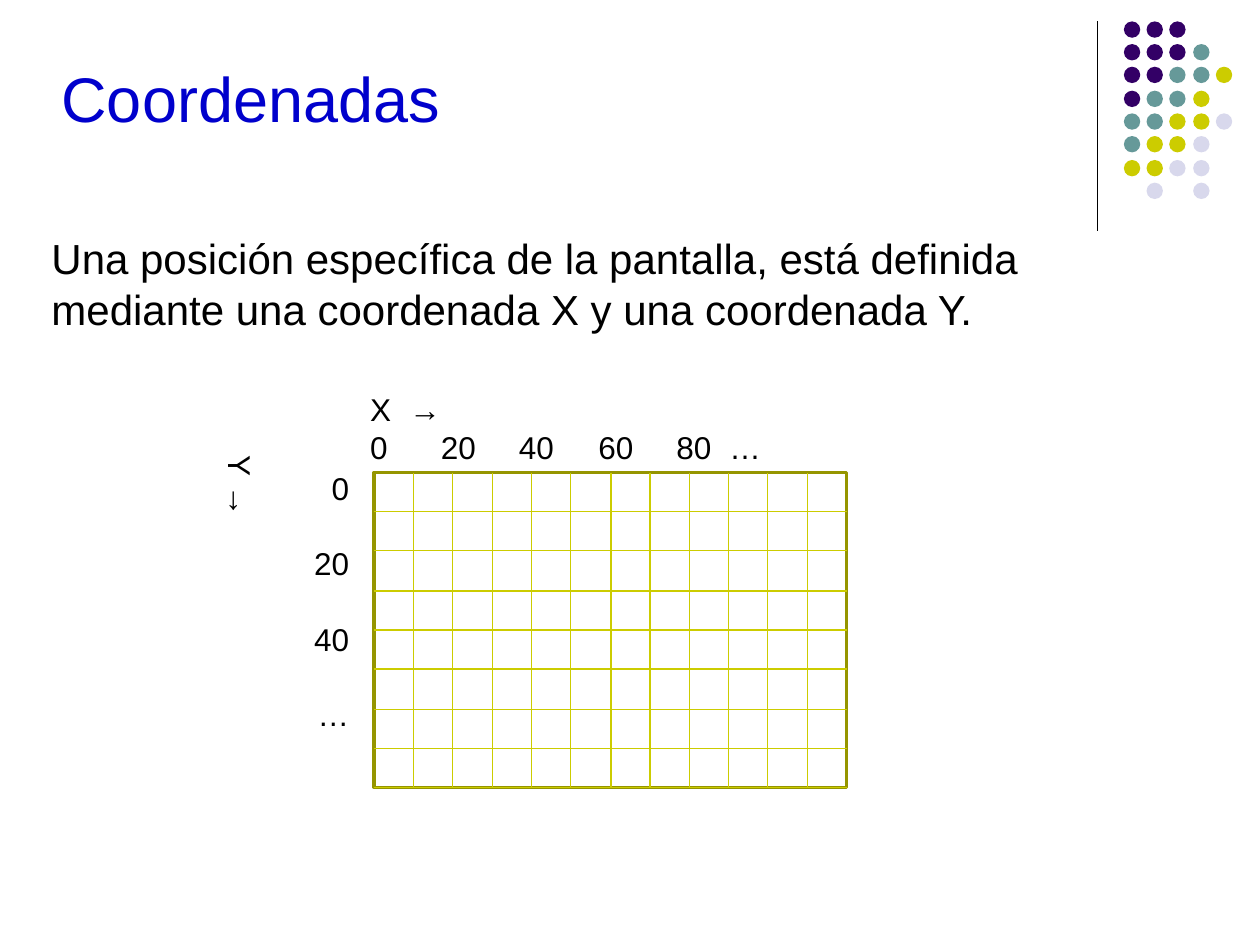
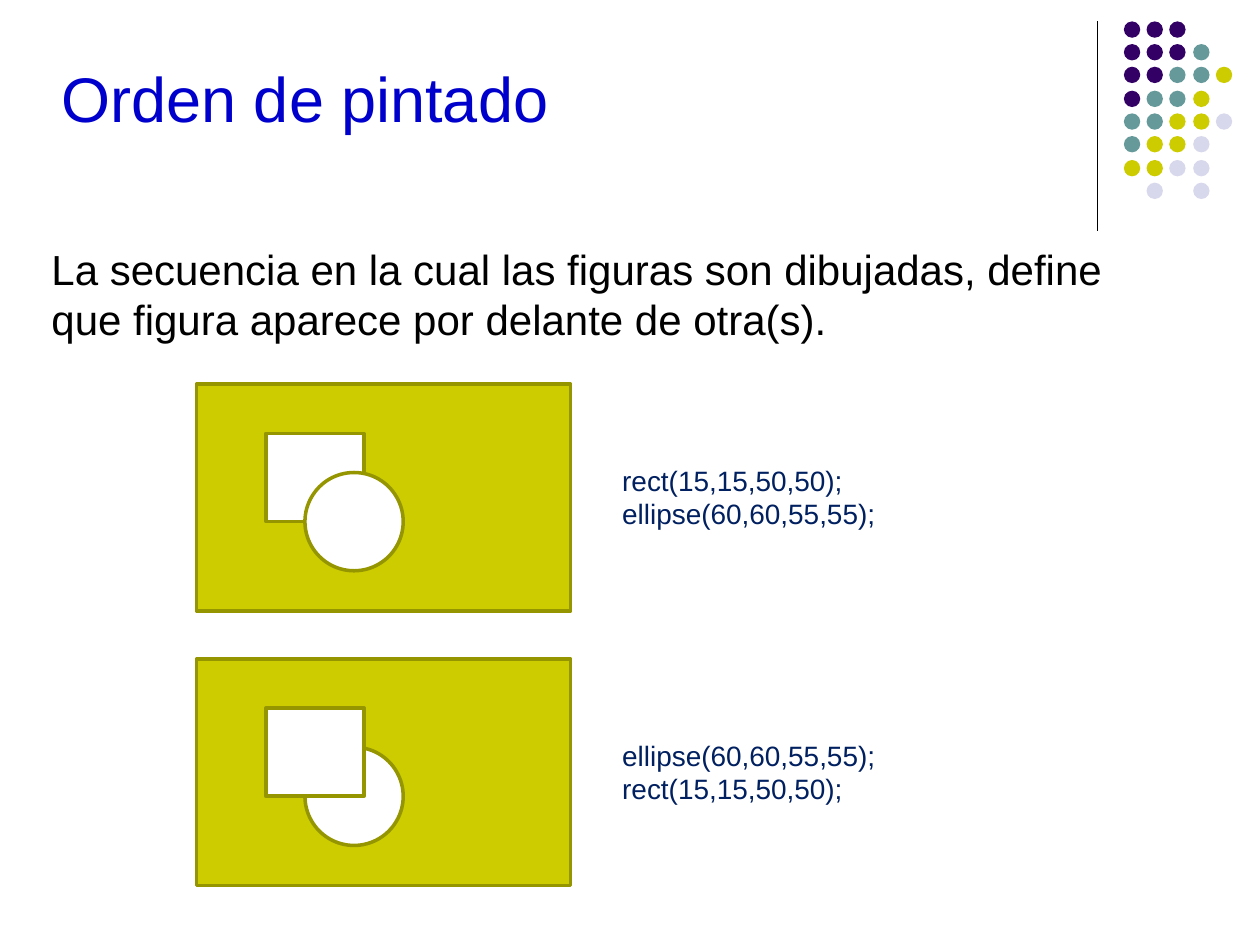
from dataclasses import dataclass

from lxml import etree
from pptx import Presentation
from pptx import util as u
from pptx.dml.color import RGBColor
from pptx.enum import shapes, text
from pptx.oxml import ns

PX = 9144  # EMU per px, 100 px to the inch
FONT = "Arial"
HUES = {
    "title": "0000CC", "body": "000000", "code": "002060",
    "white": "FFFFFF", "lime": "CCCC00", "edge": "959500",
    "plum": "330066", "teal": "669999", "mist": "D8D8EC",
}
RECT = shapes.MSO_SHAPE.RECTANGLE
OVAL = shapes.MSO_SHAPE.OVAL
MID = text.MSO_ANCHOR.MIDDLE
RIGHT = text.PP_ALIGN.RIGHT

# Corner dots, one letter per dot
KEYS = {"p": "plum", "t": "teal", "l": "lime", "m": "mist"}
DOTS = ("ppp", "pppt", "ppttl", "pttl", "ttllm", "tllm", "llmm", " m m")


@dataclass
class Box:
    x: int
    y: int
    w: int
    h: int


@dataclass
class Label:
    words: str
    box: Box
    size: int
    hue: str = "body"
    anchor: text.MSO_ANCHOR = text.MSO_ANCHOR.TOP
    align: text.PP_ALIGN = text.PP_ALIGN.LEFT
    gap: float = 0
    turn: int = 0
    tabs: tuple[int, ...] = ()


@dataclass
class Form:
    kind: shapes.MSO_SHAPE
    box: Box
    fill: str
    edge: str | None = "edge"


def tint(name: str) -> RGBColor:
    return RGBColor.from_string(HUES[name])


def emu(box: Box) -> list[int]:
    return [v * PX for v in (box.x, box.y, box.w, box.h)]


def write(slide, lab: Label) -> None:
    item = slide.shapes.add_textbox(*emu(lab.box))
    item.rotation = lab.turn
    frame = item.text_frame
    frame.word_wrap = True
    frame.vertical_anchor = lab.anchor
    frame.text = lab.words
    for i, para in enumerate(frame.paragraphs):
        para.alignment = lab.align
        para.line_spacing = u.Pt(lab.size * 1.2)
        if i and lab.gap:
            para.space_before = u.Pt(lab.gap)
        if lab.tabs:
            stops = etree.SubElement(para._p.get_or_add_pPr(), ns.qn("a:tabLst"))
            for pos in lab.tabs:
                etree.SubElement(stops, ns.qn("a:tab"), pos=str(pos * PX), algn="l")
        for run in para.runs:
            run.font.name = FONT
            run.font.size = u.Pt(lab.size)
            run.font.color.rgb = tint(lab.hue)


def draw(slide, form: Form) -> None:
    item = slide.shapes.add_shape(form.kind, *emu(form.box))
    item.shadow.inherit = False
    item.fill.solid()
    item.fill.fore_color.rgb = tint(form.fill)
    if form.edge:
        item.line.color.rgb = tint(form.edge)
        item.line.width = u.Pt(2)
    else:
        item.line.fill.background()


def rule(slide, x1: int, y1: int, x2: int, y2: int, hue: str) -> None:
    ends = [v * PX for v in (x1, y1, x2, y2)]
    line = slide.shapes.add_connector(shapes.MSO_CONNECTOR.STRAIGHT, *ends)
    line.line.color.rgb = tint(hue)
    line.line.width = u.Pt(0.75)
    etree.SubElement(line._element.spPr, ns.qn("a:effectLst"))


def start(deck, title: str, wide: int, body: str, area: Box):
    """Add a slide with the shared corner, title and body text."""
    slide = deck.slides.add_slide(deck.slide_layouts[6])
    rule(slide, 871, 17, 871, 183, "body")
    for row, marks in enumerate(DOTS):
        for col, mark in enumerate(marks):
            if mark in KEYS:
                spot = Box(892 + col * 55 // 3, 17 + row * 55 // 3, 13, 13)
                draw(slide, Form(OVAL, spot, KEYS[mark], None))
    write(slide, Label(title, Box(39, 23, wide, 108), 36, "title", MID))
    write(slide, Label(body, area, 24))
    return slide


def coords(deck) -> None:
    slide = start(
        deck, "Coordenadas", 453,
        "Una posición específica de la pantalla, está definida mediante "
        "una coordenada X y una coordenada Y.", Box(31, 180, 899, 170))
    # X axis labels
    write(slide, Label("X\t→", Box(284, 305, 333, 40), 18, tabs=(31,)))
    write(slide, Label("0\t20\t40\t60\t80\t…", Box(284, 335, 333, 40), 18,
                       tabs=(56, 118, 181, 243, 285)))
    # Screen grid
    grid, cols, rows = Box(297, 375, 375, 250), 12, 8
    draw(slide, Form(RECT, grid, "white"))
    for i in range(1, cols):
        x = grid.x + round(grid.w * i / cols)
        rule(slide, x, grid.y, x, grid.y + grid.h, "lime")
    for i in range(1, rows + 1):
        y = grid.y + round(grid.h * i / rows)
        rule(slide, grid.x, y, grid.x + grid.w, y, "lime")
    # Y axis labels
    write(slide, Label("0\n20\n40\n…", Box(211, 367, 76, 250), 18,
                       align=RIGHT, gap=21.6))
    write(slide, Label("Y →", Box(141, 352, 70, 70), 18, turn=90))


def order(deck) -> None:
    slide = start(
        deck, "Orden de pintado", 844,
        "La secuencia en la cual las figuras son dibujadas, define que "
        "figura aparece por delante de otra(s).", Box(31, 188, 898, 90))
    calls = ["rect(15,15,50,50);", "ellipse(60,60,55,55);"]
    # Same two figures, painted in either order
    for top, step in ((305, 1), (523, -1)):
        figs = [Form(RECT, Box(211, top + 39, 78, 70), "white"),
                Form(OVAL, Box(242, top + 70, 78, 78), "white")]
        write(slide, Label("\n".join(calls[::step]), Box(484, top + 31, 296, 117),
                           16, "code", MID))
        draw(slide, Form(RECT, Box(156, top, 297, 180), "lime"))
        for fig in figs[::step]:
            draw(slide, fig)


def main() -> None:
    deck = Presentation()
    deck.slide_width = 1000 * PX
    deck.slide_height = 750 * PX
    coords(deck)
    order(deck)
    deck.save("out.pptx")


if __name__ == "__main__":
    main()
